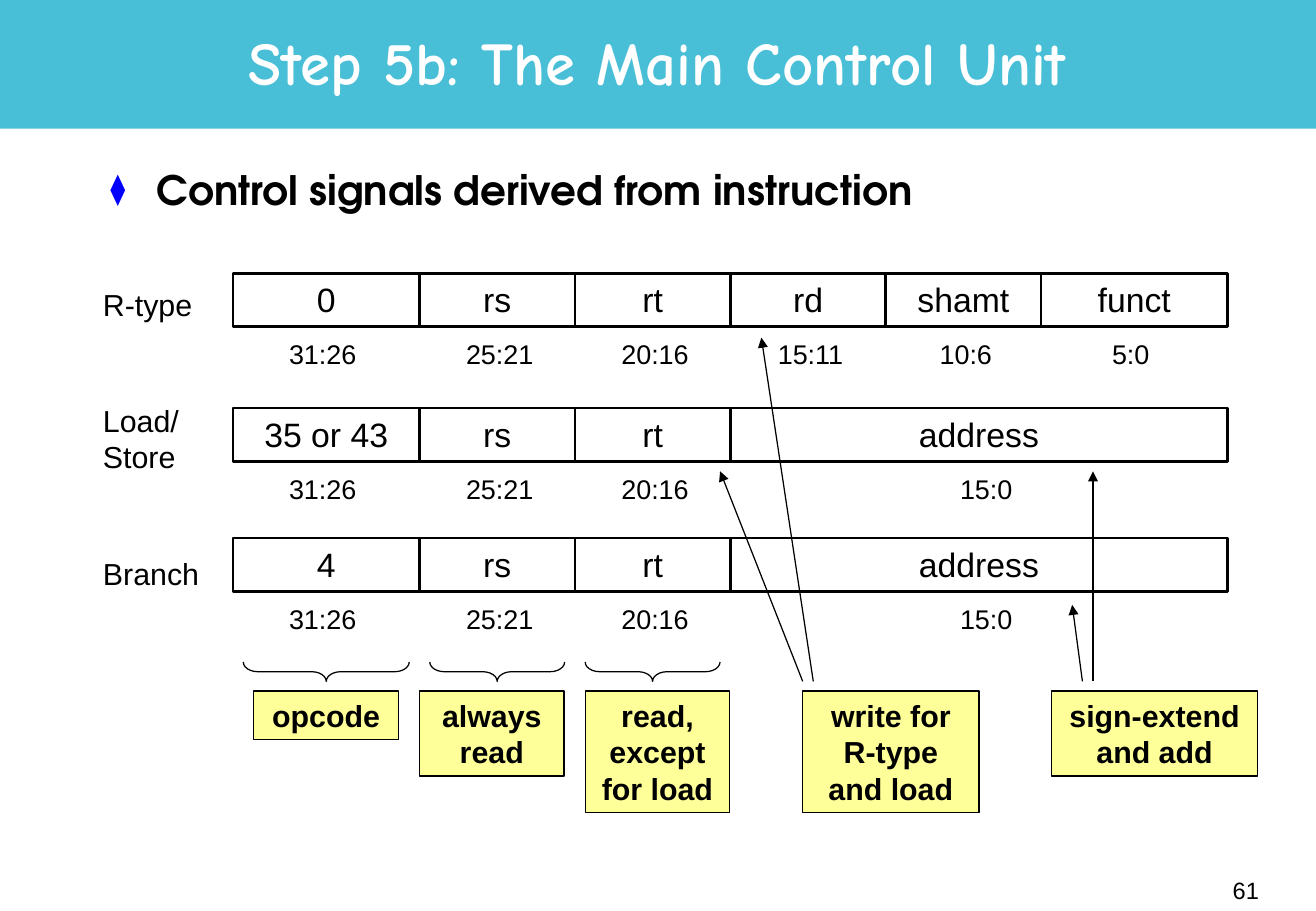
from lxml import etree
from pptx import Presentation
from pptx.dml.color import RGBColor
from pptx.enum import shapes, text
from pptx.oxml.ns import qn
from pptx.util import Inches, Pt

BLACK = RGBColor(0x00, 0x00, 0x00)
WHITE = RGBColor(0xFF, 0xFF, 0xFF)
BAND_BLUE = RGBColor(0x49, 0xBF, 0xD7)
NOTE_YELLOW = RGBColor(0xFF, 0xFF, 0x99)
BULLET_BLUE = "0000FF"

PAGE_WIDTH, PAGE_HEIGHT = 10.84, 7.5
WORD_LEFT, BIT_WIDTH = 1.92, 0.256  # a 32-bit word spans 32 grid columns
FIELD_HEIGHT, CAPTION_DROP = 0.44, 0.48
BRACE_TOP, BRACE_DEPTH, BRACE_INSET = 5.45, 0.16, 0.33
NOTE_TOP, ARROW_START = 5.69, 5.61
CAPTION_SHIFT = {6: -0.03, 5: 0.02, 16: 0.06}  # by field width in bits

LEFT, CENTER, RIGHT = text.PP_ALIGN.LEFT, text.PP_ALIGN.CENTER, text.PP_ALIGN.RIGHT

# format name, label top, label width, label height, row top, (field, high bit, low bit)
FORMATS = [
    ("R-type", 2.31, 0.93, 0.4, 2.25,
     [("0", 31, 26), ("rs", 25, 21), ("rt", 20, 16),
      ("rd", 15, 11), ("shamt", 10, 6), ("funct", 5, 0)]),
    ("Load/\nStore", 3.26, 0.82, 0.7, 3.36,
     [("35 or 43", 31, 26), ("rs", 25, 21), ("rt", 20, 16), ("address", 15, 0)]),
    ("Branch", 4.52, 0.99, 0.4, 4.43,
     [("4", 31, 26), ("rs", 25, 21), ("rt", 20, 16), ("address", 15, 0)]),
]
# wording, first column, width in columns, height
NOTES = [
    ("opcode", 0.67, 4.65, 0.4),
    ("always read", 6, 4.65, 0.7),
    ("read, except for load", 11.33, 4.65, 1),
    ("write for R-type and load", 18.33, 5.67, 1),
    ("sign-extend and add", 26.33, 6.64, 0.7),
]
BRACED_FIELDS = [(0, 6), (6, 11), (11, 16)]
# start column, end column, end height
ARROWS = [(18.33, 15.67, 3.88), (18.67, 17, 2.78),
          (27.33, 27, 4.98), (27.67, 27.67, 3.88)]


def column(bits):
    """Horizontal place of a bit column, in inches."""
    return WORD_LEFT + bits * BIT_WIDTH


def place(shape, left, top, width, height):
    shape.left, shape.top = Inches(left), Inches(top)
    shape.width, shape.height = Inches(width), Inches(height)


def write(shape, wording, size, align=CENTER, bold=False, color=BLACK,
          font="Arial", wrap=True, anchor=text.MSO_ANCHOR.TOP):
    frame = shape.text_frame
    frame.word_wrap = wrap
    frame.auto_size = text.MSO_AUTO_SIZE.NONE
    frame.vertical_anchor = anchor
    para = frame.paragraphs[0]
    para.text = wording
    para.alignment = align
    para.font.name, para.font.size = font, Pt(size)
    para.font.bold = bold
    para.font.color.rgb = color
    return para


def add_label(page, box, wording, size, **style):
    label = page.shapes.add_textbox(*map(Inches, box))
    write(label, wording, size, **style)


def add_outline(page, kind, box, fill=None, weight=0.75):
    """Add a preset shape with a black outline and an optional fill."""
    shape = page.shapes.add_shape(kind, *map(Inches, box))
    shape.shadow.inherit = False
    if fill is None:
        shape.fill.background()
    else:
        shape.fill.solid()
        shape.fill.fore_color.rgb = fill
    shape.line.color.rgb = BLACK
    shape.line.width = Pt(weight)
    return shape


def add_field(page, top, name, high, low):
    """Add one instruction field with its bit range below."""
    bits = high - low + 1
    left, width = column(31 - high), bits * BIT_WIDTH
    field = add_outline(page, shapes.MSO_SHAPE.RECTANGLE,
                        (left, top, width, FIELD_HEIGHT), weight=1.5)
    write(field, name, 20)
    bit_range = f"{high}:{low}"
    caption_width = 0.15 + 0.12 * len(bit_range)
    caption_left = left + (width - caption_width) / 2 + CAPTION_SHIFT[bits]
    add_label(page, (caption_left, top + CAPTION_DROP, caption_width, 0.37),
              bit_range, 16, wrap=False)


def add_brace(page, first, last):
    """Add a brace that opens upwards under the columns first to last."""
    span = (last - first - 2 * BRACE_INSET) * BIT_WIDTH
    middle = column((first + last) / 2)
    brace = add_outline(page, shapes.MSO_SHAPE.LEFT_BRACE,
                        (middle - BRACE_DEPTH / 2,
                         BRACE_TOP + (BRACE_DEPTH - span) / 2, BRACE_DEPTH, span))
    brace.adjustments[0] = 0.75
    brace.rotation = 270


def add_arrow(page, start, end, end_top):
    arrow = page.shapes.add_connector(
        shapes.MSO_CONNECTOR.STRAIGHT, Inches(column(start)), Inches(ARROW_START),
        Inches(column(end)), Inches(end_top))
    arrow.line.color.rgb = BLACK
    arrow.line.width = Pt(0.75)
    properties = arrow._element.spPr
    etree.SubElement(properties.find(qn("a:ln")), qn("a:tailEnd"), type="triangle")
    etree.SubElement(properties, qn("a:effectLst"))


def add_heading(page):
    band = page.shapes.add_shape(shapes.MSO_SHAPE.RECTANGLE, 0, 0,
                                 Inches(PAGE_WIDTH), Inches(1.06))
    band.shadow.inherit = False
    band.fill.solid()
    band.fill.fore_color.rgb = BAND_BLUE
    band.line.fill.background()
    page.shapes._spTree.insert(2, band._element)  # behind the title

    title = page.shapes.title
    place(title, 0.81, 0.06, 9.21, 0.99)
    para = write(title, "Step 5b: The Main Control Unit", 36, bold=True, color=WHITE,
                 font="Comic Neue", anchor=text.MSO_ANCHOR.MIDDLE)
    para.line_spacing = 0.85


def add_statement(page):
    body = page.placeholders[1]
    place(body, 0.81, 1.35, 9.21, 0.75)
    para = write(body, "Control signals derived from instruction", 24, align=LEFT,
                 bold=True, font="TeX Gyre Adventor")
    para.line_spacing = 0.9
    para.space_before = Pt(4.5)
    properties = para._p.get_or_add_pPr()
    properties.set("marL", str(Inches(0.38)))
    properties.set("indent", str(-Inches(0.38)))
    bullet_color = etree.Element(qn("a:buClr"))
    etree.SubElement(bullet_color, qn("a:srgbClr"), val=BULLET_BLUE)
    bullet_size = etree.Element(qn("a:buSzPct"), val="75000")
    bullet = etree.Element(qn("a:buChar"), char="⧫")
    following = properties.find(qn("a:defRPr"))
    for part in (bullet_color, bullet_size, bullet):
        if following is None:
            properties.append(part)
        else:
            following.addprevious(part)


def main():
    deck = Presentation()
    deck.slide_width, deck.slide_height = Inches(PAGE_WIDTH), Inches(PAGE_HEIGHT)
    page = deck.slides.add_slide(deck.slide_layouts[1])
    add_heading(page)
    add_statement(page)
    for name, label_top, width, height, row_top, fields in FORMATS:
        for field in fields:
            add_field(page, row_top, *field)
        add_label(page, (0.75, label_top, width, height), name, 18,
                  align=LEFT, wrap=False)
    for first, last in BRACED_FIELDS:
        add_brace(page, first, last)
    for wording, first, bits, height in NOTES:
        note = add_outline(page, shapes.MSO_SHAPE.RECTANGLE,
                           (column(first), NOTE_TOP, bits * BIT_WIDTH, height),
                           fill=NOTE_YELLOW)
        write(note, wording, 18, bold=True)
    for arrow in ARROWS:
        add_arrow(page, *arrow)
    add_label(page, (8.21, 7.08, 2.26, 0.5), "61", 14, align=RIGHT,
              anchor=text.MSO_ANCHOR.MIDDLE)
    deck.save("out.pptx")


if __name__ == "__main__":
    main()
